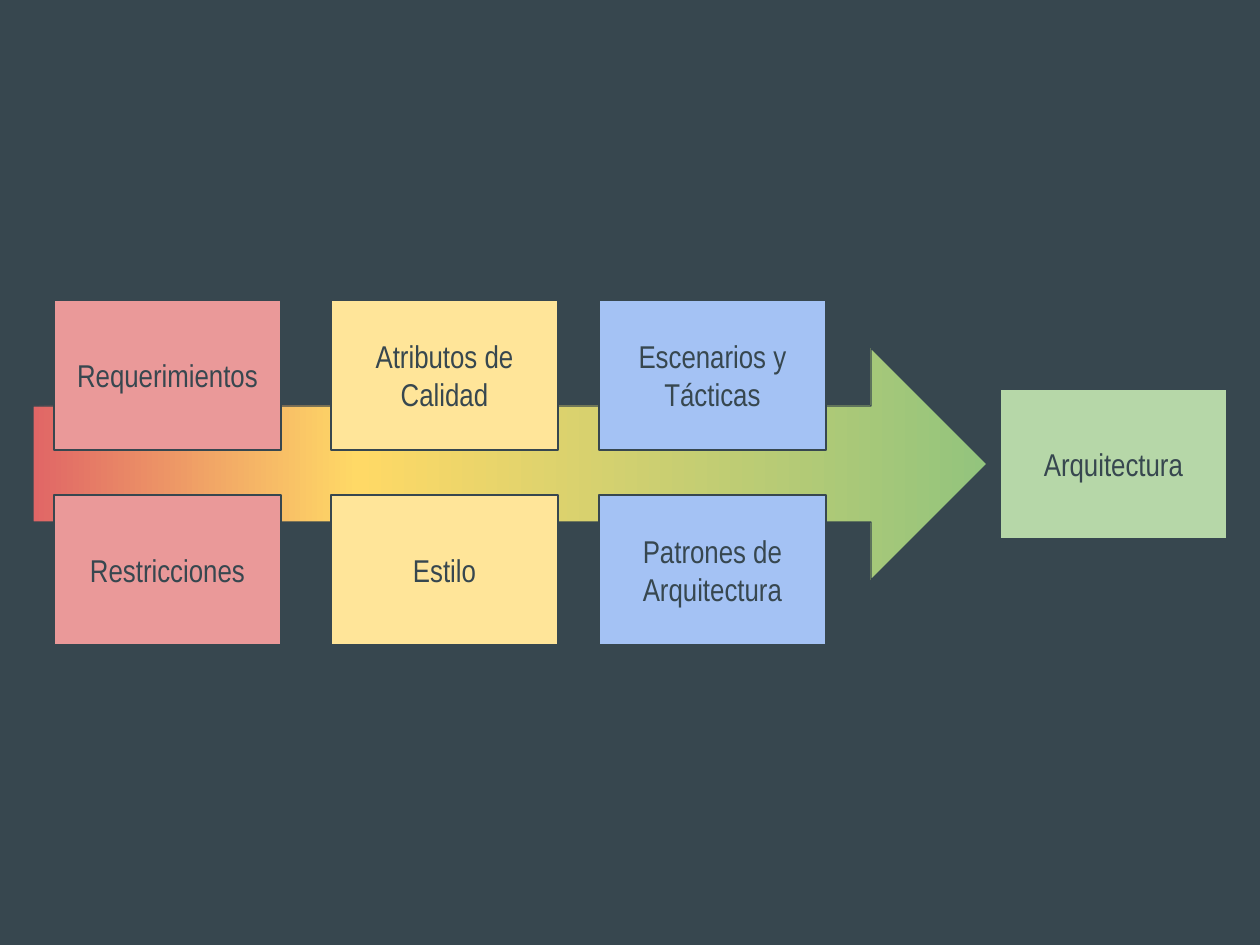
from copy import deepcopy

from pptx import Presentation
from pptx.dml.color import RGBColor
from pptx.enum.shapes import MSO_SHAPE as SHAPE
from pptx.enum.text import MSO_ANCHOR as ANCHOR, PP_ALIGN as ALIGN
from pptx.util import Inches, Pt

PX = Inches(1) / 126
FONT = "Arial Narrow"

SLATE = RGBColor(0x37, 0x47, 0x4F)
PINK = RGBColor(0xEA, 0x99, 0x99)
CREAM = RGBColor(0xFF, 0xE5, 0x99)
BLUE = RGBColor(0xA4, 0xC2, 0xF4)
MINT = RGBColor(0xB6, 0xD7, 0xA8)
RED = RGBColor(0xE0, 0x66, 0x66)
YELLOW = RGBColor(0xFF, 0xD9, 0x66)
GREEN = RGBColor(0x93, 0xC4, 0x7D)

BOX_W, BOX_H = 227, 150
ROWS = (300, 495)
COLUMNS = (
    (54, PINK, ("Requerimientos", "Restricciones")),
    (331, CREAM, ("Atributos de Calidad", "Estilo")),
    (599, BLUE, ("Escenarios y Tácticas", "Patrones de Arquitectura")),
)


def px(n):
    return round(n * PX)


def add_outlined(slide, kind, x, y, w, h):
    sp = slide.shapes.add_shape(kind, px(x), px(y), px(w), px(h))
    sp.shadow.inherit = False
    sp.line.color.rgb = SLATE
    sp.line.width = Pt(0.75)
    return sp


def add_gradient_arrow(slide, x, y, w, h, colors, middle):
    sp = add_outlined(slide, SHAPE.RIGHT_ARROW, x, y, w, h)
    fill = sp.fill
    fill.gradient()
    fill.gradient_angle = 0
    # A new gradient has two stops; the middle one is cloned from the first
    first = sp._element.spPr.gradFill.gsLst[0]
    first.addnext(deepcopy(first))
    for stop, color, position in zip(fill.gradient_stops, colors, (0, middle, 1)):
        stop.color.rgb = color
        stop.position = position


def add_box(slide, x, y, color, text):
    sp = add_outlined(slide, SHAPE.RECTANGLE, x, y, BOX_W, BOX_H)
    sp.fill.solid()
    sp.fill.fore_color.rgb = color
    tf = sp.text_frame
    tf.word_wrap = True
    tf.vertical_anchor = ANCHOR.MIDDLE
    tf.margin_left = tf.margin_right = Inches(0.1)
    tf.margin_top = tf.margin_bottom = Inches(0.1)
    p = tf.paragraphs[0]
    p.alignment = ALIGN.CENTER
    r = p.add_run()
    r.text = text
    r.font.name = FONT
    r.font.size = Pt(18)
    r.font.color.rgb = SLATE


def main():
    prs = Presentation()
    prs.slide_width, prs.slide_height = Inches(10), Inches(7.5)
    slide = prs.slides.add_slide(prs.slide_layouts[6])
    background = slide.background.fill
    background.solid()
    background.fore_color.rgb = SLATE

    # Process arrow behind the boxes
    add_gradient_arrow(slide, 33, 348, 954, 232, (RED, YELLOW, GREEN), 0.34)

    # Inputs, two per column
    for x, color, labels in COLUMNS:
        for y, label in zip(ROWS, labels):
            add_box(slide, x, y, color, label)

    # Result
    add_box(slide, 1000, 389, MINT, "Arquitectura")

    prs.save("out.pptx")


if __name__ == "__main__":
    main()
